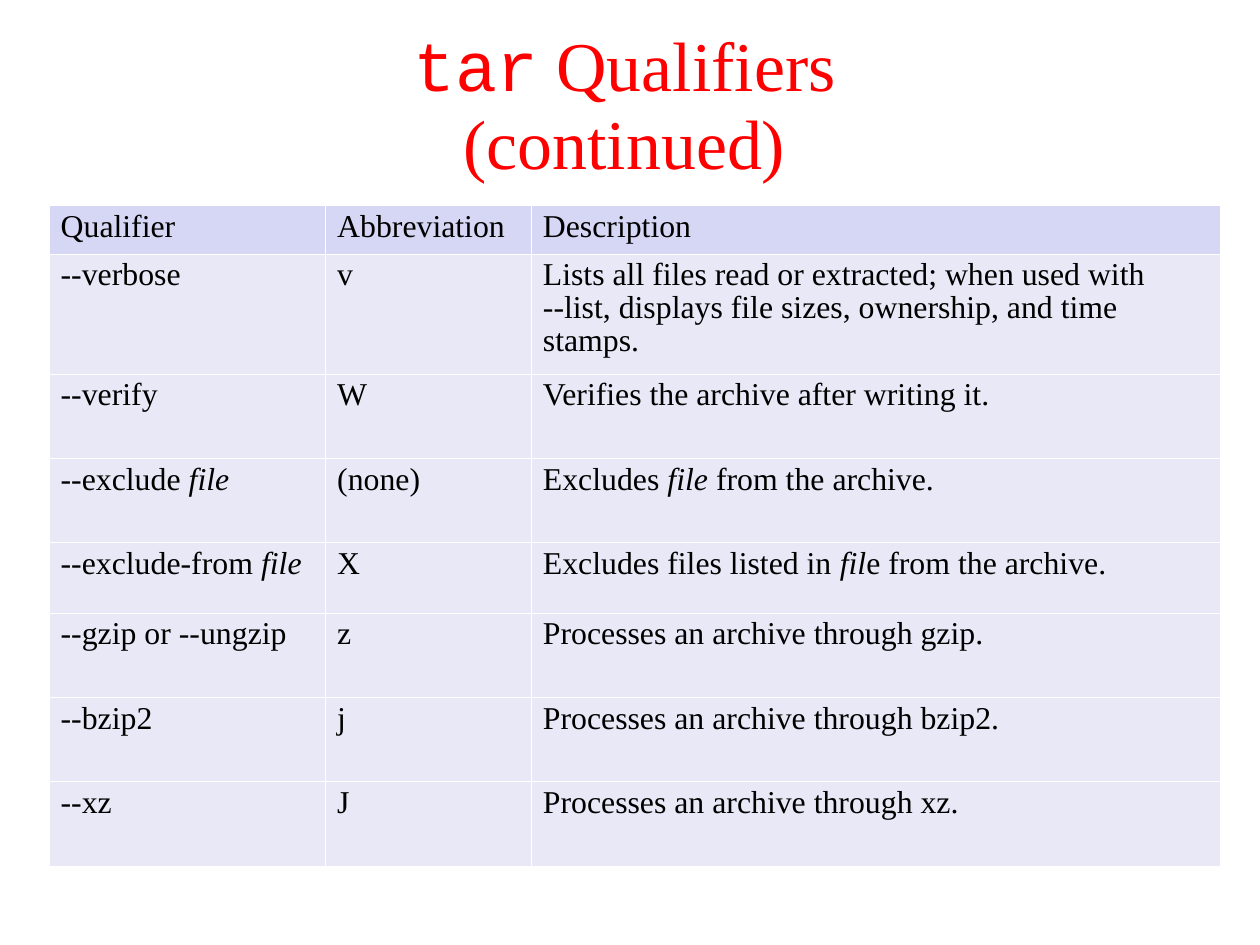
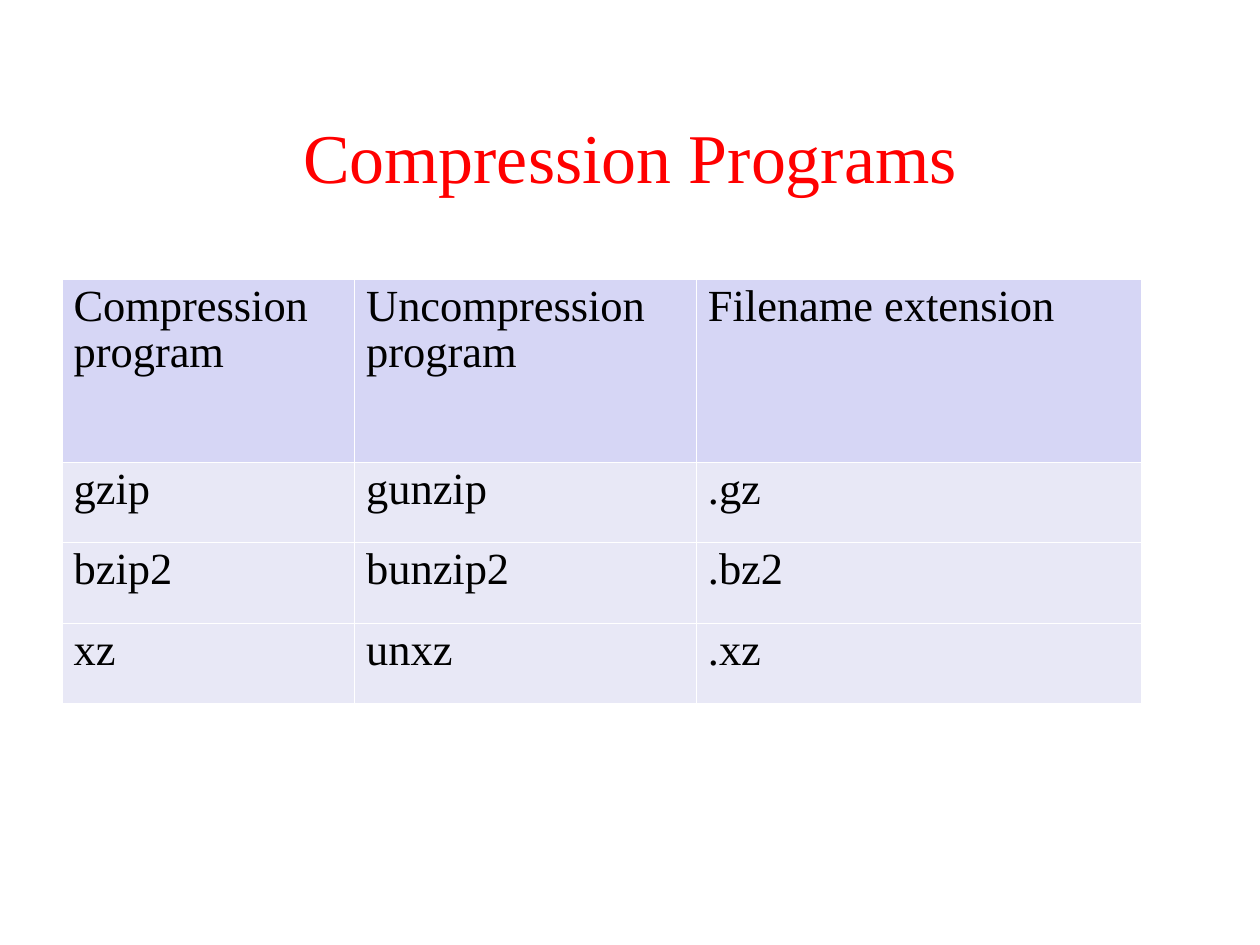
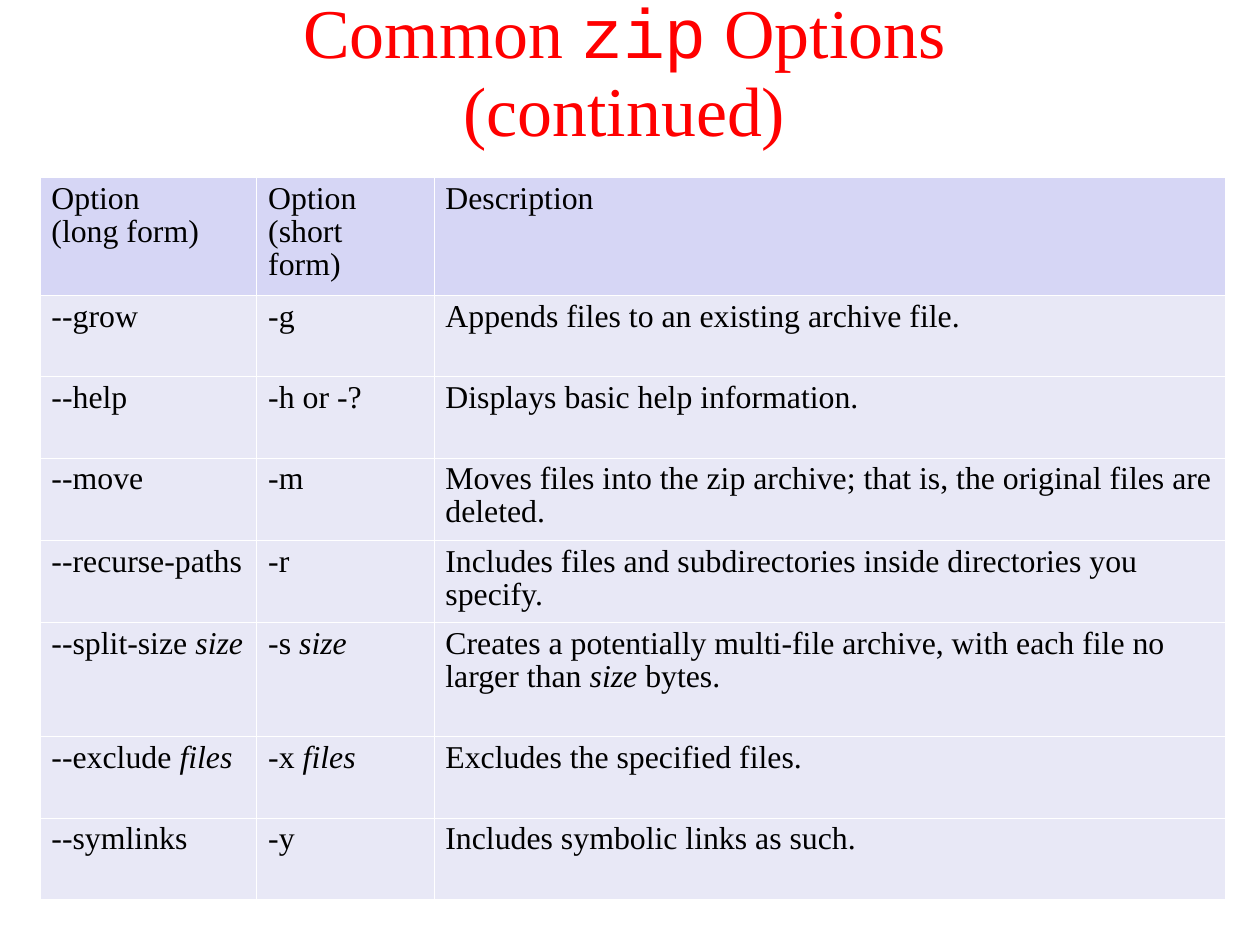
import pptx
import pptx.dml.color
import pptx.enum.text
import pptx.oxml
import pptx.oxml.ns
import pptx.util

Pt = pptx.util.Pt
RGBColor = pptx.dml.color.RGBColor

# Shared look
TITLE_RED = RGBColor(0xFF, 0x00, 0x00)
TEXT_BLACK = RGBColor(0x00, 0x00, 0x00)
HEADER_FILL = RGBColor(0xD6, 0xD6, 0xF5)
BODY_FILL = RGBColor(0xE8, 0xE8, 0xF6)
RULE_WHITE = RGBColor(0xFF, 0xFF, 0xFF)
RULE_WIDTH = Pt(0.45)
SERIF, MONO = "Times New Roman", "Courier New"
SLIDE_WIDTH, SLIDE_HEIGHT = 793.7, 595.3
TITLE_WIDTH, TITLE_SIZE = 677.5, 44
LINE_SPACING = 0.93

# Content: `...` is monospaced, *...* is italic; title_at is left, top, height
SLIDES = [
    {
        "title": "`tar` Qualifiers\n(continued)",
        "title_at": (54.7, 39.6, 52.6),
        "table_at": (31, 129.6),
        "columns": [174.2, 129.6, 434.2],
        "heights": [30.4, 75.6, 53.2, 53.2, 44.2, 53.2, 53.2, 53.2],
        "size": 20,
        "rows": [
            ("Qualifier", "Abbreviation", "Description"),
            ("--verbose", "v", "Lists all files read or extracted; when used with\n"
             "--list, displays file sizes, ownership, and time stamps."),
            ("--verify", "W", "Verifies the archive after writing it."),
            ("--exclude *file*", "(none)", "Excludes *file* from the archive."),
            ("--exclude-from *file*", "X",
             "Excludes files listed in *fil*e from the archive."),
            ("--gzip or --ungzip", "z", "Processes an archive through gzip."),
            ("--bzip2", "j", "Processes an archive through bzip2."),
            ("--xz", "J", "Processes an archive through xz."),
        ],
    },
    {
        "title": "Compression Programs",
        "title_at": (58.3, 49.7, 99.4),
        "table_at": (39.2, 176),
        "columns": [184.3, 215.3, 280],
        "heights": [115.2, 50.6, 50.6, 50.6],
        "size": 28,
        "rows": [
            ("Compression program", "Uncompression program", "Filename extension"),
            ("gzip", "gunzip", ".gz"),
            ("bzip2", "bunzip2", ".bz2"),
            ("xz", "unxz", ".xz"),
        ],
    },
    {
        "title": "Common `zip` Options\n(continued)",
        "title_at": (54.7, 10.8, 69.1),
        "table_at": (25.2, 111.9),
        "columns": [136.6, 111.6, 498.2],
        "heights": [70.3, 51.2, 51.2, 49.8, 49.8, 71.8, 51.2, 51.2],
        "size": 20,
        "rows": [
            ("Option\n(long form)", "Option (short form)", "Description"),
            ("--grow", "-g", "Appends files to an existing archive file."),
            ("--help", "-h or -?", "Displays basic help information."),
            ("--move", "-m", "Moves files into the zip archive; that is, "
             "the original files are deleted."),
            ("--recurse-paths", "-r", "Includes files and subdirectories inside "
             "directories you specify."),
            ("--split-size *size*", "-s *size*", "Creates a potentially multi-file "
             "archive, with each file no larger than *size* bytes."),
            ("--exclude *files*", "-x *files*", "Excludes the specified files."),
            ("--symlinks", "-y", "Includes symbolic links as such."),
        ],
    },
]


def write(paragraph, text, size, color, marker, emphasise):
    """Fill a paragraph, emphasising the pieces between markers."""
    paragraph.line_spacing = LINE_SPACING
    paragraph.font.name = SERIF
    paragraph.font.size = Pt(size)
    paragraph.font.color.rgb = color
    for index, piece in enumerate(text.split(marker)):
        for line_number, line in enumerate(piece.split("\n")):
            if line_number:
                paragraph.add_line_break()
            if line:
                run = paragraph.add_run()
                run.text = line
                if index % 2:
                    emphasise(run.font)


def set_mono(font):
    font.name = MONO


def set_italic(font):
    font.italic = True


def add_title(slide, text, left, top, height):
    title = slide.shapes.add_textbox(Pt(left), Pt(top), Pt(TITLE_WIDTH), Pt(height))
    frame = title.text_frame
    frame.word_wrap = True
    frame.vertical_anchor = pptx.enum.text.MSO_ANCHOR.MIDDLE
    frame.margin_left = frame.margin_right = frame.margin_bottom = 0
    frame.margin_top = Pt(2.9)
    paragraph = frame.paragraphs[0]
    paragraph.alignment = pptx.enum.text.PP_ALIGN.CENTER
    write(paragraph, text, TITLE_SIZE, TITLE_RED, "`", set_mono)


def style_cell(cell, fill):
    cell.fill.solid()
    cell.fill.fore_color.rgb = fill
    properties = cell._tc.get_or_add_tcPr()
    # Borders come before the fill in the cell properties
    for position, side in enumerate(("lnL", "lnR", "lnT", "lnB")):
        properties.insert(position, pptx.oxml.parse_xml(
            f'<a:{side} {pptx.oxml.ns.nsdecls("a")} w="{RULE_WIDTH}"><a:solidFill>'
            f'<a:srgbClr val="{RULE_WHITE}"/></a:solidFill></a:{side}>'))


def add_grid(slide, rows, left, top, columns, heights, size):
    grid = slide.shapes.add_table(
        len(rows), len(columns), Pt(left), Pt(top),
        Pt(sum(columns)), Pt(sum(heights))).table
    grid.first_row = grid.horz_banding = False
    for column, width in zip(grid.columns, columns):
        column.width = Pt(width)
    for row_number, (row, height) in enumerate(zip(grid.rows, heights)):
        row.height = Pt(height)
        for cell, text in zip(row.cells, rows[row_number]):
            style_cell(cell, BODY_FILL if row_number else HEADER_FILL)
            write(cell.text_frame.paragraphs[0], text, size, TEXT_BLACK,
                  "*", set_italic)


def main():
    deck = pptx.Presentation()
    deck.slide_width, deck.slide_height = Pt(SLIDE_WIDTH), Pt(SLIDE_HEIGHT)
    for content in SLIDES:
        slide = deck.slides.add_slide(deck.slide_layouts[6])
        add_title(slide, content["title"], *content["title_at"])
        add_grid(slide, content["rows"], *content["table_at"],
                 content["columns"], content["heights"], content["size"])
    deck.save("out.pptx")


if __name__ == "__main__":
    main()
